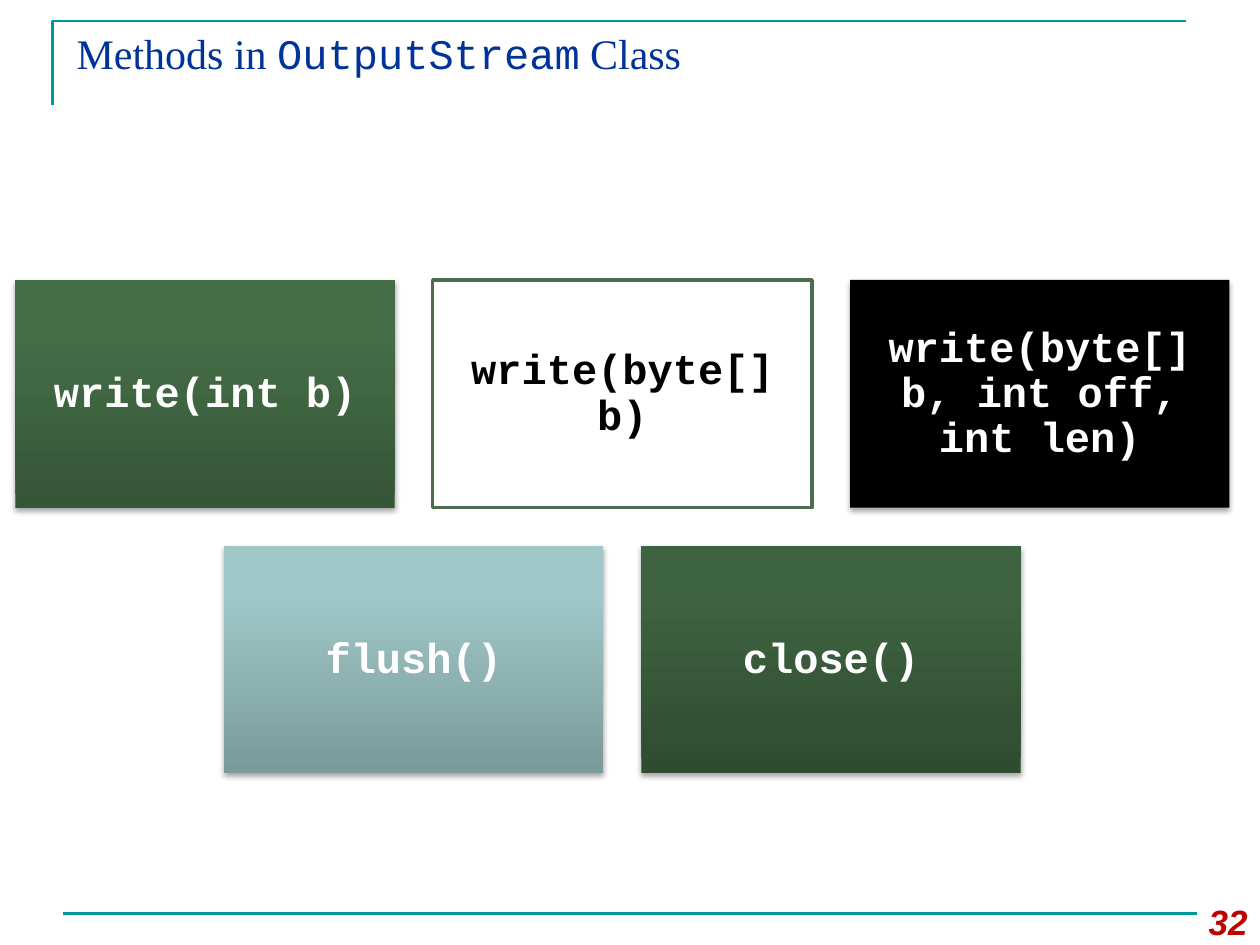
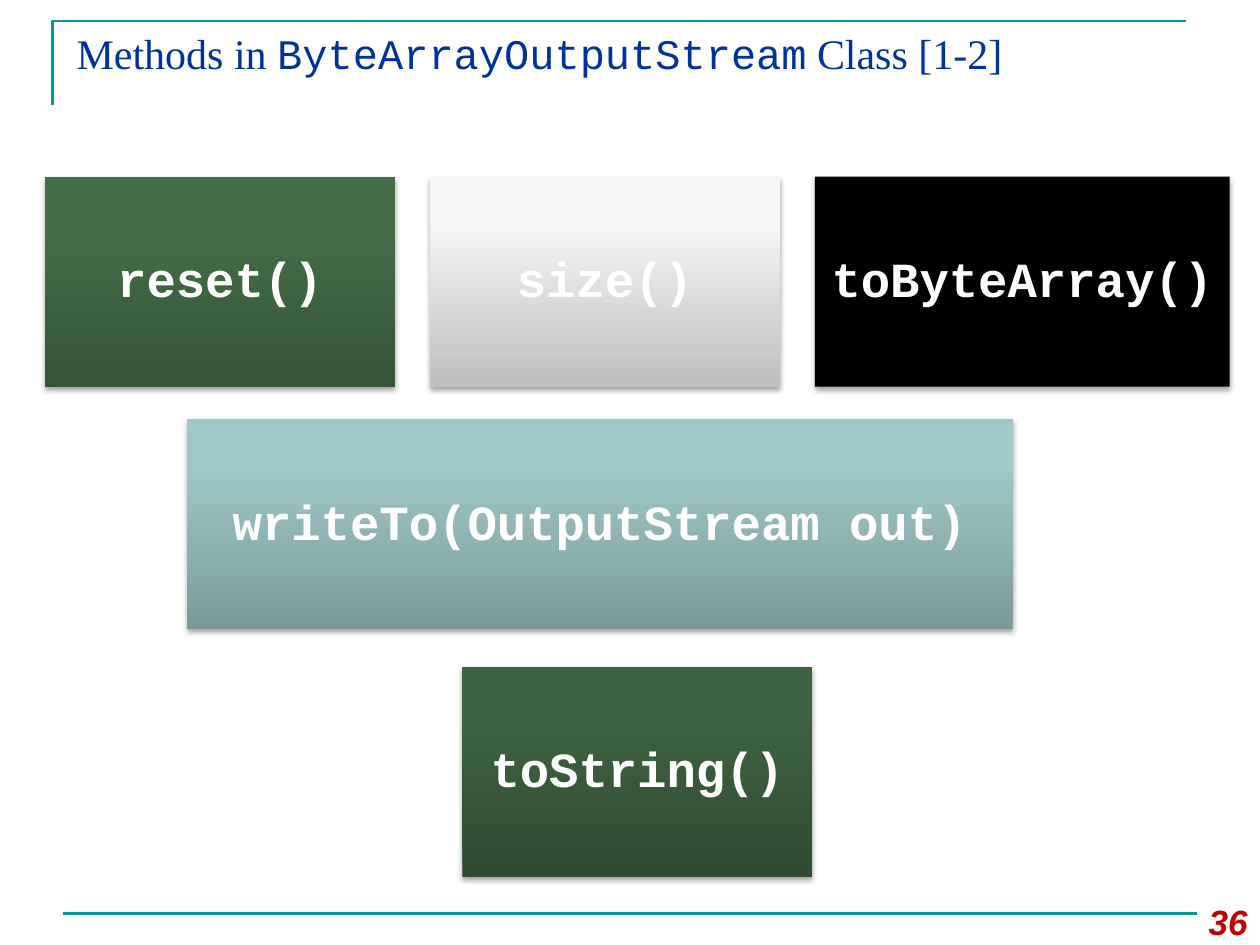
from copy import deepcopy

from lxml import etree
from pptx import Presentation
from pptx.dml.color import RGBColor
from pptx.enum.shapes import MSO_CONNECTOR, MSO_SHAPE
from pptx.enum.text import MSO_ANCHOR, PP_ALIGN
from pptx.oxml import parse_xml
from pptx.oxml.ns import nsdecls, qn
from pptx.util import Pt

RECTANGLE = MSO_SHAPE.RECTANGLE
STRAIGHT = MSO_CONNECTOR.STRAIGHT
LEFT, CENTER, RIGHT = PP_ALIGN.LEFT, PP_ALIGN.CENTER, PP_ALIGN.RIGHT
TOP, MIDDLE = MSO_ANCHOR.TOP, MSO_ANCHOR.MIDDLE

SERIF, SANS, CODE = "Times New Roman", "Arial", "Courier New"
COLORS = {
    "rule": "009999", "title": "003399", "number": "C00000",
    "white": "FFFFFF", "black": "000000", "outline": "4C6D4E",
}
STOPS = (0, 0.8, 1)
GRADIENTS = {  # from the bottom edge to the top edge
    "green": ("355537", "456E47", "447047"),
    "gray": ("BEBEBE", "F7F7F7", "F8F8F8"),
    "teal": ("7B9A9A", "A0C8C8", "A0CACA"),
    "forest": ("2F4C31", "3E6340", "3D6540"),
}

# A row is (shift right, shift down, boxes); a box is (method, style[, width]).
SLIDES = [
    {
        "title": ("OutputStream", " Class"), "number": "32",
        "size": 24, "box_width": 216.8, "center": 355.7, "top": 160,
        "rows": [
            (0, 0, [("write(int b)", "green"), ("write(byte[] b)", "outline"),
                    ("write(byte[] b, int off, int len)", "black")]),
            (0, 0, [("flush()", "teal"), ("close()", "forest")]),
        ],
    },
    {
        "title": ("ByteArrayOutputStream", " Class [1-2]"), "number": "36",
        "size": 28, "box_width": 200, "center": 364.2, "top": 101,
        "rows": [
            (0, 0, [("reset()", "green"), ("size()", "gray"),
                    ("toByteArray()", "black", 237)]),
            (-21.5, -1.5, [("writeTo(OutputStream out)", "teal", 472)]),
            (0, 0, [("toString()", "forest")]),
        ],
    },
]


def rgb(name):
    return RGBColor.from_string(COLORS[name])


def write_text(box, *spans, size, color, align=LEFT, anchor=TOP, inset=None,
               spacing=None, bold=False, italic=False):
    """Fill a box with one paragraph of (text, font name) spans."""
    frame = box.text_frame
    frame.word_wrap = True
    frame.vertical_anchor = anchor
    if inset is not None:
        frame.margin_left = frame.margin_right = Pt(inset)
        frame.margin_top = frame.margin_bottom = Pt(inset)
    para = frame.paragraphs[0]
    para.alignment = align
    para.line_spacing = spacing
    for text, font_name in spans:
        span = para.add_run()
        span.text = text
        font = span.font
        font.name, font.size = font_name, Pt(size)
        font.bold, font.italic = bold, italic
        font.color.rgb = rgb(color)


def fill_gradient(shape, shades):
    fill = shape.fill
    fill.gradient()
    fill.gradient_angle = 90
    stop_list = shape._element.spPr.find(".//" + qn("a:gsLst"))
    stop_list.append(deepcopy(stop_list[-1]))
    for stop, position, shade in zip(fill.gradient_stops, STOPS, shades):
        stop.position = position
        stop.color.rgb = RGBColor.from_string(shade)


def add_soft_shadow(shape):
    shape._element.spPr.append(parse_xml(
        f'<a:effectLst {nsdecls("a")}>'
        '<a:outerShdw blurRad="40000" dist="23000" dir="5400000" rotWithShape="0">'
        '<a:srgbClr val="000000"><a:alpha val="35000"/></a:srgbClr>'
        '</a:outerShdw></a:effectLst>'))


def add_method_box(page, method, style, left, top, width, height, size):
    box = page.shapes.add_shape(RECTANGLE, Pt(left), Pt(top), Pt(width), Pt(height))
    outlined = style == "outline"
    if style in GRADIENTS:
        fill_gradient(box, GRADIENTS[style])
    else:
        box.fill.solid()
        box.fill.fore_color.rgb = rgb("white" if outlined else style)
    if outlined:
        box.line.color.rgb = rgb("outline")
        box.line.width = Pt(2)
        box.shadow.inherit = False
    else:
        box.line.fill.background()
        add_soft_shadow(box)
    write_text(box, (method, CODE), size=size, color="black" if outlined else "white",
               align=CENTER, anchor=MIDDLE, inset=0.3 * size, spacing=0.9, bold=True)


def add_method_grid(page, content):
    """Center each row of boxes, with gaps of a tenth of the box width."""
    usual = content["box_width"]
    height, gap = 0.6 * usual, 0.1 * usual
    for index, (right, down, boxes) in enumerate(content["rows"]):
        widths = [box[2] if len(box) > 2 else usual for box in boxes]
        row_width = sum(widths) + gap * (len(boxes) - 1)
        left = content["center"] + right - row_width / 2
        top = content["top"] + down + index * (height + gap)
        for (method, style, *_), width in zip(boxes, widths):
            add_method_box(page, method, style, left, top, width, height, content["size"])
            left += width + gap


def style_rule(line):
    line.color.rgb = rgb("rule")
    line.width = Pt(1.5)


def add_frame(page, title, number):
    """Add the corner rule, footer rule, title and page number."""
    builder = page.shapes.build_freeform(Pt(30), Pt(60))
    builder.add_line_segments([(Pt(30), Pt(12)), (Pt(678), Pt(12))], close=False)
    corner = builder.convert_to_shape()
    corner.fill.background()
    corner.shadow.inherit = False
    style_rule(corner.line)

    footer = page.shapes.add_connector(STRAIGHT, Pt(36), Pt(522), Pt(684), Pt(522))
    style_rule(footer.line)
    etree.SubElement(footer._element.spPr, qn("a:effectLst"))

    class_name, ending = title
    heading = page.shapes.add_textbox(Pt(36.7), Pt(12.2), Pt(581), Pt(32.4))
    write_text(heading, ("Methods in ", SERIF), (class_name, CODE), (ending, SERIF),
               size=24, color="title")
    corner_number = page.shapes.add_textbox(Pt(672), Pt(511), Pt(48), Pt(29))
    write_text(corner_number, (number, SANS), size=20, color="number",
               align=RIGHT, bold=True, italic=True)


def main():
    deck = Presentation()
    deck.slide_width, deck.slide_height = Pt(720), Pt(540)
    for content in SLIDES:
        page = deck.slides.add_slide(deck.slide_layouts[6])
        add_frame(page, content["title"], content["number"])
        add_method_grid(page, content)
    deck.save("out.pptx")


if __name__ == "__main__":
    main()
